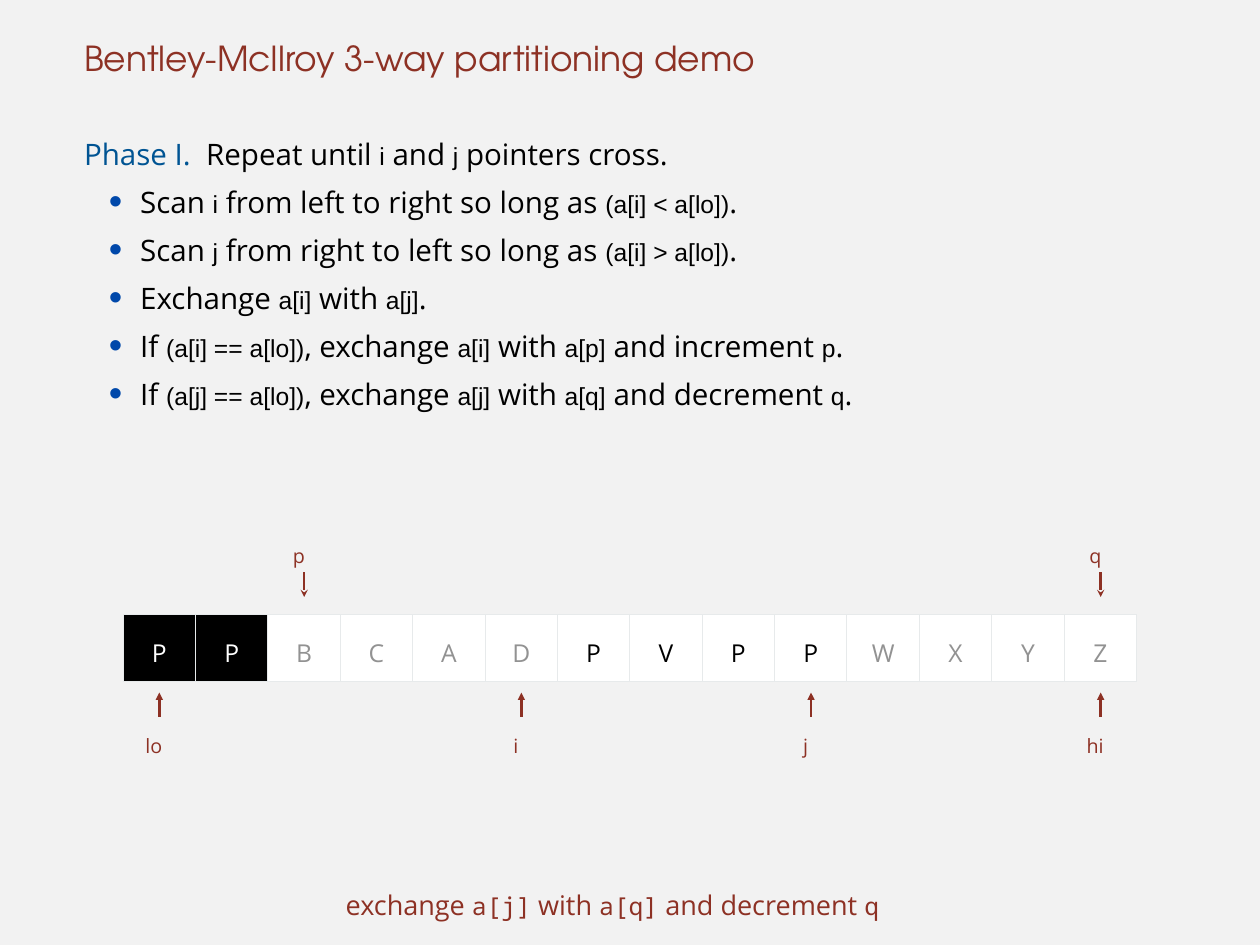
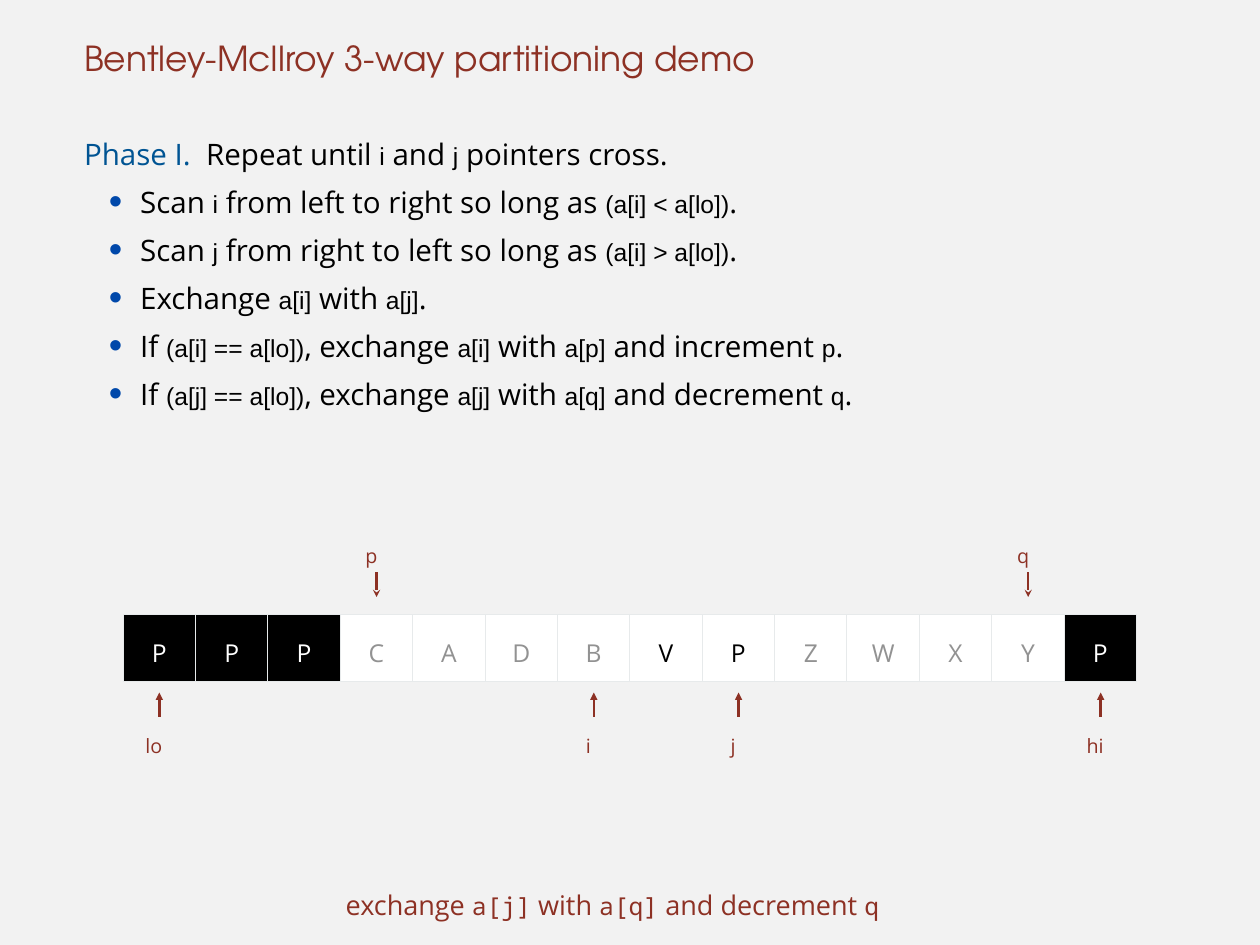
"""Build two steps of a 3-way partitioning demo."""
from dataclasses import dataclass

from lxml import etree
from pptx import Presentation
from pptx import util as u
from pptx.dml.color import RGBColor
from pptx.enum import shapes, text
from pptx.oxml import ns


@dataclass(frozen=True)
class Theme:
    paper: RGBColor = RGBColor.from_string("F2F2F2")
    accent: RGBColor = RGBColor.from_string("8D3124")
    phase: RGBColor = RGBColor.from_string("005493")
    bullet: str = "0048AA"
    rule: str = "E7EAEB"
    black: RGBColor = RGBColor.from_string("000000")
    white: RGBColor = RGBColor.from_string("FFFFFF")
    grey: RGBColor = RGBColor.from_string("929292")
    title_font: str = "TeX Gyre Adventor"
    text_font: str = "Open Sans"
    code_font: str = "Arial"
    mono_font: str = "Noto Sans Mono"
    title_size: u.Pt = u.Pt(28)
    body_size: u.Pt = u.Pt(24)
    caption_size: u.Pt = u.Pt(22)
    code_size: u.Pt = u.Pt(20)
    label_size: u.Pt = u.Pt(16)


theme = Theme()

TITLE = "Bentley-McIlroy 3-way partitioning demo"
PHASE = "Phase I.  "
INTRO = "Repeat until `i` and `j` pointers cross."
RULES = [
    "Scan `i` from left to right so long as `(a[i] < a[lo])`.",
    "Scan `j` from right to left so long as `(a[i] > a[lo])`.",
    "Exchange `a[i]` with `a[j]`.",
    "If `(a[i] == a[lo])`, exchange `a[i]` with `a[p]` and increment `p`.",
    "If `(a[j] == a[lo])`, exchange `a[j]` with `a[q]` and decrement `q`.",
]
CAPTION = "exchange `a[j]` with `a[q]` and decrement `q`"

CELL_STYLES = {
    "e": (theme.black, theme.white),
    "s": (theme.white, theme.grey),
    "o": (theme.white, theme.black),
}
STEPS = [
    ("PPBCADPVPPWXYZ", "eessssoooossss", {"lo": 0, "i": 5, "j": 9, "p": 2, "q": 13, "hi": 13}),
    ("PPPCADBVPZWXYP", "eeessssoosssse", {"lo": 0, "i": 6, "j": 8, "p": 3, "q": 12, "hi": 13}),
]
LABEL_WIDTHS = {"lo": 1, "hi": 1, "i": 0.65, "j": 0.65, "p": 0.84, "q": 0.84}
ARRAY_LEFT, ARRAY_WIDTH = 3.53, 29.06


def set_up(frame, spacing, align=text.PP_ALIGN.LEFT):
    """Clear the insets and give every paragraph its margins, spacing and alignment."""
    frame.margin_left = frame.margin_top = frame.margin_right = frame.margin_bottom = 0
    for para in frame.paragraphs:
        para.line_spacing = spacing
        para.alignment = align
        para.space_before = u.Pt(0)
        properties = para._p.get_or_add_pPr()
        properties.set("marL", str(u.Cm(0.15)))
        properties.set("marR", str(u.Cm(0.15)))
        properties.set("indent", "0")


def write_mixed(para, markup, size, code_font, color):
    """Add runs to a paragraph, setting the parts between backticks as code."""
    for index, piece in enumerate(markup.split("`")):
        if piece:
            span = para.add_run()
            span.text = piece
            span.font.name = code_font if index % 2 else theme.text_font
            span.font.size = theme.code_size if index % 2 else size
            span.font.color.rgb = color


deck = Presentation()
deck.slide_width, deck.slide_height = u.Cm(36.12), u.Cm(27.1)
background = deck.slide_master.background.fill
background.solid()
background.fore_color.rgb = theme.paper

for letters, states, pointers in STEPS:
    page = deck.slides.add_slide(deck.slide_layouts[5])

    title = page.shapes.title
    title.left, title.top, title.width, title.height = u.Cm(2.26), u.Cm(0), u.Cm(31.6), u.Cm(2.26)
    title.text_frame.text = TITLE
    title.text_frame.auto_size = text.MSO_AUTO_SIZE.NONE
    title.text_frame.vertical_anchor = text.MSO_ANCHOR.BOTTOM
    set_up(title.text_frame, u.Pt(59))
    font = title.text_frame.paragraphs[0].font
    font.name, font.size, font.color.rgb = theme.title_font, theme.title_size, theme.accent

    body = page.shapes.add_textbox(u.Cm(2.26), u.Cm(3.53), u.Cm(31.6), u.Cm(22.58)).text_frame
    body.word_wrap = True
    intro = body.paragraphs[0]
    write_mixed(intro, PHASE, theme.body_size, theme.code_font, theme.phase)
    write_mixed(intro, INTRO, theme.body_size, theme.code_font, theme.black)
    for rule in RULES:
        para = body.add_paragraph()
        para.level = 1
        write_mixed(para, rule, theme.body_size, theme.code_font, theme.black)
    set_up(body, u.Pt(39))
    for para in body.paragraphs[1:]:
        properties = para._p.get_or_add_pPr()
        properties.set("marL", str(u.Cm(1.76)))
        properties.set("indent", str(-u.Cm(0.9)))
        bullet_color = etree.SubElement(properties, ns.qn("a:buClr"))
        etree.SubElement(bullet_color, ns.qn("a:srgbClr"), val=theme.bullet)
        etree.SubElement(properties, ns.qn("a:buSzPct"), val="130000")
        etree.SubElement(properties, ns.qn("a:buFont"), typeface=theme.code_font)
        etree.SubElement(properties, ns.qn("a:buChar"), char="•")

    array = page.shapes.add_table(
        1, len(letters), u.Cm(ARRAY_LEFT), u.Cm(17.63), u.Cm(ARRAY_WIDTH), u.Cm(1.9)
    ).table
    array.first_row = array.horz_banding = False
    for cell, letter, state in zip(array.iter_cells(), letters, states):
        fill_color, letter_color = CELL_STYLES[state]
        cell.text = letter
        set_up(cell.text_frame, 1.3, text.PP_ALIGN.CENTER)
        cell.margin_left = cell.margin_top = cell.margin_right = cell.margin_bottom = u.Cm(0.15)
        cell.vertical_anchor = text.MSO_ANCHOR.MIDDLE
        font = cell.text_frame.paragraphs[0].font
        font.name, font.size, font.color.rgb = theme.text_font, theme.code_size, letter_color
        for side in ("a:lnL", "a:lnR", "a:lnT", "a:lnB"):
            border = etree.SubElement(cell._tc.get_or_add_tcPr(), ns.qn(side), w=str(u.Pt(1)))
            border_fill = etree.SubElement(border, ns.qn("a:solidFill"))
            etree.SubElement(border_fill, ns.qn("a:srgbClr"), val=theme.rule)
        cell.fill.solid()
        cell.fill.fore_color.rgb = fill_color

    for name, index in pointers.items():
        above = name in ("p", "q")
        center = ARRAY_LEFT + ARRAY_WIDTH / len(letters) * (index + 0.5)
        arrow_top, label_top = (16.41, 15.27) if above else (19.86, 20.7)
        width = LABEL_WIDTHS[name]
        label = page.shapes.add_textbox(
            u.Cm(center - width / 2 - 0.05), u.Cm(label_top), u.Cm(width), u.Cm(0.91)
        ).text_frame
        label.text = name
        label.word_wrap = False
        label.auto_size = text.MSO_AUTO_SIZE.SHAPE_TO_FIT_TEXT
        set_up(label, 1.5)
        font = label.paragraphs[0].font
        font.name, font.size, font.color.rgb = theme.text_font, theme.label_size, theme.accent

        arrow = page.shapes.add_connector(
            shapes.MSO_CONNECTOR.STRAIGHT,
            u.Cm(center), u.Cm(arrow_top), u.Cm(center), u.Cm(arrow_top + 0.71),
        )
        arrow.line.color.rgb = theme.accent
        arrow.line.width = u.Pt(2)
        end, kind = ("a:tailEnd", "stealth") if above else ("a:headEnd", "triangle")
        etree.SubElement(arrow.line._get_or_add_ln(), ns.qn(end), type=kind)
        etree.SubElement(arrow._element.spPr, ns.qn("a:effectLst"))

    caption = page.shapes.add_textbox(u.Cm(1.78), u.Cm(25.02), u.Cm(31.55), u.Cm(1.19)).text_frame
    caption.word_wrap = True
    caption.auto_size = text.MSO_AUTO_SIZE.SHAPE_TO_FIT_TEXT
    write_mixed(caption.paragraphs[0], CAPTION, theme.caption_size, theme.mono_font, theme.accent)
    set_up(caption, 1.5, text.PP_ALIGN.CENTER)

deck.save("out.pptx")
